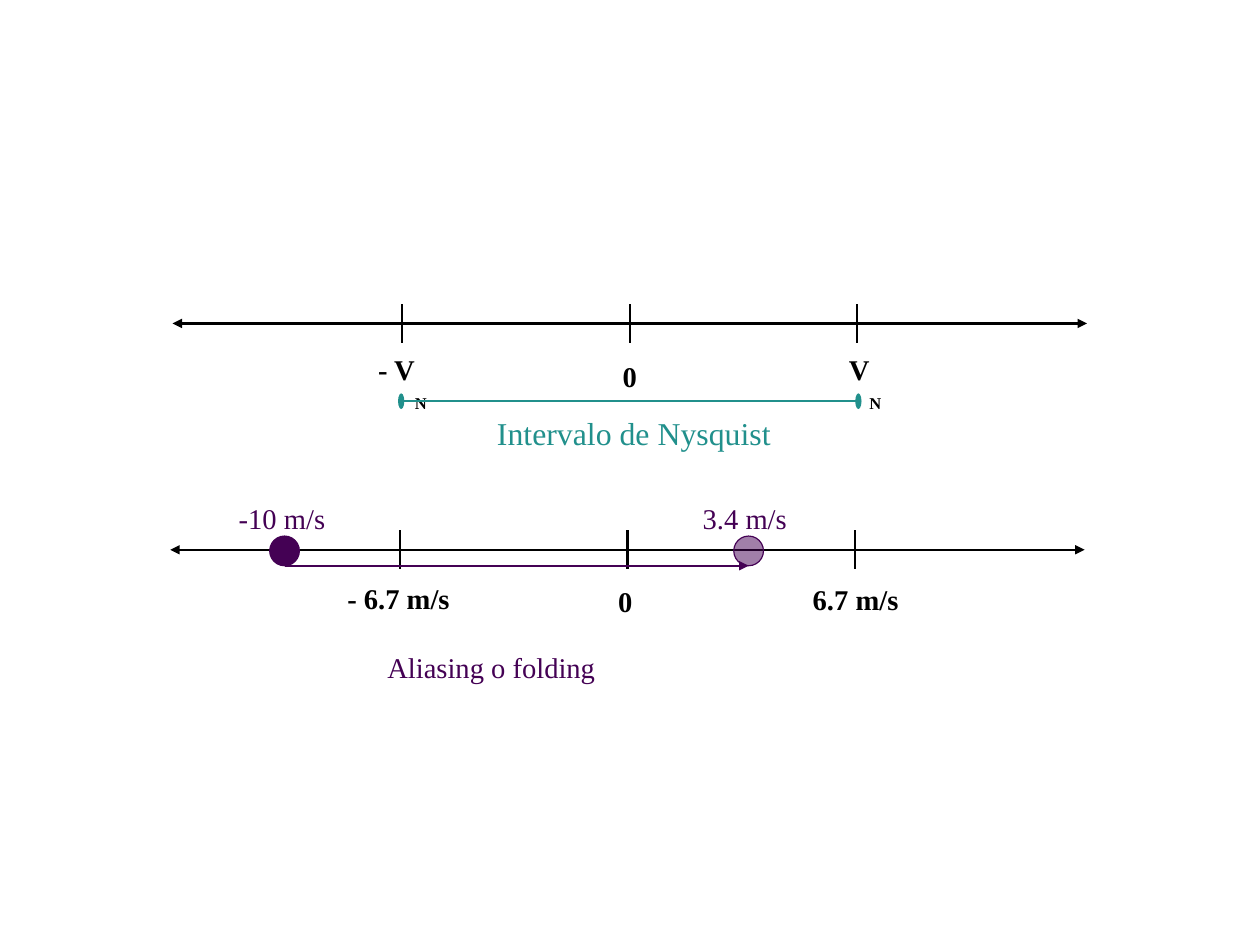
from pptx import Presentation
from pptx.dml.color import RGBColor
from pptx.enum.shapes import MSO_CONNECTOR as Link, MSO_SHAPE as Form
from pptx.oxml.ns import qn
from pptx.util import Cm, Inches as In, Pt
from lxml.etree import SubElement as Sub

BLACK = RGBColor(0, 0, 0)
TEAL = RGBColor(0x21, 0x90, 0x8C)
PLUM = RGBColor(0x44, 0x01, 0x54)

deck = Presentation()
deck.slide_width, deck.slide_height = Cm(28), Cm(21)
slide = deck.slides.add_slide(deck.slide_layouts[6])
shapes = slide.shapes


def draw(x1, y1, x2, y2, color=BLACK, kind=Link.STRAIGHT, **ends):
    """Draw a line; ends maps headEnd or tailEnd to (type, width, length)."""
    line = shapes.add_connector(kind, In(x1), In(y1), In(x2), In(y2))
    line.line.color.rgb = color
    line.line.width = Pt(1.45)
    props = line._element.spPr
    for tag in ("headEnd", "tailEnd"):
        if tag in ends:
            shape, wide, long = ends[tag]
            Sub(props.find(qn("a:ln")), qn("a:" + tag), type=shape, w=wide, len=long)
    Sub(props, qn("a:effectLst"))


def write(text, x, y, wide, high=0.35, color=BLACK, bold=False, size=18, sub=""):
    """Add a label, with an optional subscript."""
    box = shapes.add_textbox(In(x), In(y), In(wide), In(high))
    box.text_frame.word_wrap = True
    para = box.text_frame.paragraphs[0]
    font = para.font
    font.name, font.size, font.bold = "Times New Roman", Pt(size), bold
    font.color.rgb = color
    para.add_run().text = text
    if sub:
        run = para.add_run()
        run.text = sub
        run.font._element.set("baseline", "-101000")


# Both number lines: zero at mid, limits one step to each side
STEP, REACH, TICK = 1.99, 4, 0.17
ARROW = ("triangle", "med", "med")
DOT = ("oval", "lg", "sm")
for mid, row in ((5.51, 2.83), (5.49, 4.81)):
    draw(mid - REACH, row, mid + REACH, row, headEnd=ARROW, tailEnd=ARROW)
    for n in (0, 1, -1):
        x = mid + n * STEP
        draw(x, row - TICK, x, row + TICK)

# Limits in symbols and in numbers
write("- V", 3.21, 3.03, 0.65, 0.43, bold=True, sub="N")
write(" V", 7.27, 3.03, 0.57, 0.43, bold=True, sub="N")
for text, x, y, wide in (
    ("0", 5.35, 3.09, 0.34),
    ("- 6.7 m/s", 2.94, 5.03, 1.22),
    (" 6.7 m/s", 6.95, 5.04, 1.14),
    ("0", 5.31, 5.06, 0.34),
):
    write(text, x, y, wide, bold=True)

# Nyquist interval
draw(3.51, 3.51, 7.51, 3.51, TEAL, headEnd=DOT, tailEnd=DOT)
write("Intervalo de Nysquist", 4.25, 3.57, 2.6, 0.38, TEAL, size=20)

# True speed and its alias
SIZE, TOP = 0.26, 4.69
TRUE, ALIAS = 2.49, 6.55
for x, alpha in ((TRUE, 100), (ALIAS, 50)):
    ball = shapes.add_shape(Form.OVAL, In(x - SIZE / 2), In(TOP), In(SIZE), In(SIZE))
    ball.shadow.inherit = False
    ball.fill.solid()
    ball.fill.fore_color.rgb = PLUM
    ball.line.color.rgb = PLUM
    ball.line.width = Pt(0.75)
    if alpha < 100:
        tint = ball._element.spPr.find(qn("a:solidFill"))[0]
        Sub(tint, qn("a:alpha"), val=str(alpha * 1000))

draw(TRUE, TOP + SIZE, ALIAS, TOP + SIZE, PLUM, Link.CURVE, tailEnd=ARROW)
for text, x, y, wide in (
    ("Aliasing o folding", 3.29, 5.64, 2.02),
    ("-10 m/s", 1.99, 4.33, 1.08),
    ("3.4 m/s", 6.05, 4.33, 1.07),
):
    write(text, x, y, wide, color=PLUM)

deck.save("out.pptx")
